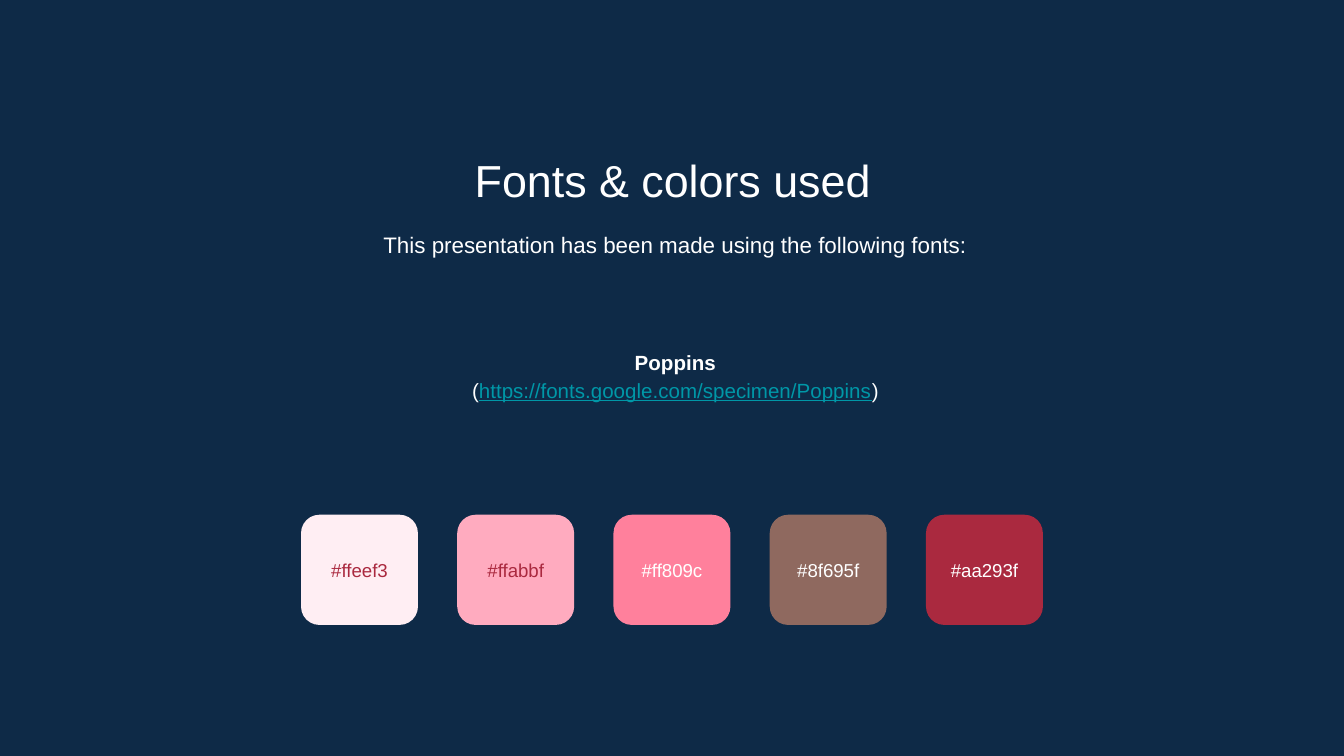
"""Build a slide that lists the font and the colour palette of a presentation."""
import pptx
import pptx.dml.color
import pptx.enum.shapes
import pptx.enum.text
import pptx.util

Inches = pptx.util.Inches
ANCHOR = pptx.enum.text.MSO_ANCHOR
WHITE = "FFFFFF"
CRIMSON = "AA293F"
TEAL = "0097A7"


def color(value):
    return pptx.dml.color.RGBColor.from_string(value)


def add_text(slide, paragraphs, left, top, width, height, size,
             anchor=ANCHOR.TOP, line_spacing=1.0):
    box = slide.shapes.add_textbox(Inches(left), Inches(top), Inches(width), Inches(height))
    frame = box.text_frame
    frame.word_wrap = True
    frame.vertical_anchor = anchor
    frame.margin_left = frame.margin_right = Inches(0.1)
    frame.margin_top = frame.margin_bottom = Inches(0.1)
    for index, runs in enumerate(paragraphs):
        paragraph = frame.add_paragraph() if index else frame.paragraphs[0]
        paragraph.alignment = pptx.enum.text.PP_ALIGN.CENTER
        paragraph.line_spacing = line_spacing
        for text, style in runs:
            run = paragraph.add_run()
            run.text = text
            run.font.name = "Arial"
            run.font.size = pptx.util.Pt(size)
            run.font.bold = style.get("bold", False)
            run.font.underline = style.get("underline", False)
            run.font.color.rgb = color(style.get("color", WHITE))


presentation = pptx.Presentation()
presentation.slide_width = Inches(10)
presentation.slide_height = Inches(10) * 9 // 16
slide = presentation.slides.add_slide(presentation.slide_layouts[6])
slide.background.fill.solid()
slide.background.fill.fore_color.rgb = color("0E2A47")

add_text(slide, [[("Fonts & colors used", {})]], 1.15, 1.04, 7.71, 0.53, size=24)
add_text(slide, [[("This presentation has been made using the following fonts:", {})]],
         1.17, 1.59, 7.71, 0.48, size=12, line_spacing=1.15)

font_lines = [
    [("Poppins", {"bold": True})],
    [("(", {}),
     ("https://fonts.google.com/specimen/Poppins", {"color": TEAL, "underline": True}),
     (")", {})],
]
add_text(slide, font_lines, 1.17, 2.1, 7.71, 1.37, size=11,
         anchor=ANCHOR.MIDDLE, line_spacing=1.15)

swatches = [
    ("#ffeef3", CRIMSON),
    ("#ffabbf", CRIMSON),
    ("#ff809c", WHITE),
    ("#8f695f", WHITE),
    ("#aa293f", WHITE),
]
swatch_width = 0.87
first_left, last_left = 2.24, 6.89
swatch_step = (last_left - first_left) / (len(swatches) - 1)
for index, (code, label_color) in enumerate(swatches):
    left = first_left + index * swatch_step
    shape = slide.shapes.add_shape(
        pptx.enum.shapes.MSO_SHAPE.ROUNDED_RECTANGLE,
        Inches(left), Inches(3.83), Inches(swatch_width), Inches(0.82))
    shape.shadow.inherit = False
    shape.fill.solid()
    shape.fill.fore_color.rgb = color(code[1:].upper())
    shape.line.fill.background()
    add_text(slide, [[(code, {"color": label_color})]], left, 4, swatch_width, 0.48,
             size=10, anchor=ANCHOR.MIDDLE)

presentation.save("out.pptx")
